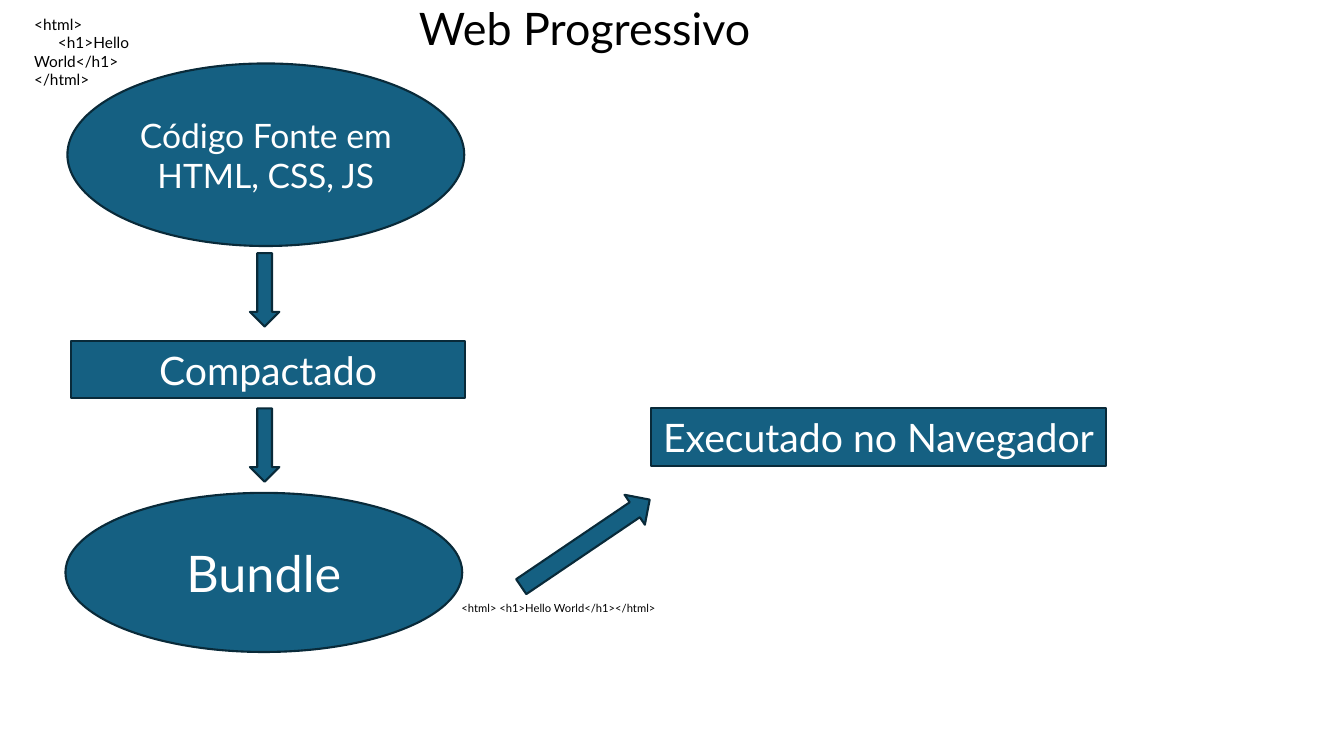
from pptx import Presentation
from pptx.dml.color import RGBColor
from pptx.enum import shapes, text
from pptx import util as u

TEAL = RGBColor(0x15, 0x60, 0x82)
DARK_TEAL = RGBColor(0x09, 0x2A, 0x39)
WHITE = RGBColor(0xFF, 0xFF, 0xFF)
BLACK = RGBColor(0, 0, 0)
FONT = "Lato"
KIND = shapes.MSO_SHAPE


def add_words(paragraph, words, size, color):
    run = paragraph.add_run()
    run.text = words
    run.font.name = FONT
    run.font.size = u.Pt(size)
    run.font.color.rgb = color


def add_step(slide, kind, box, words="", size=28, rotation=0):
    step = slide.shapes.add_shape(kind, *map(u.Cm, box))
    step.shadow.inherit = False
    step.rotation = rotation
    step.fill.solid()
    step.fill.fore_color.rgb = TEAL
    step.line.color.rgb = DARK_TEAL
    step.line.width = u.Pt(1.5)
    if words:
        frame = step.text_frame
        frame.word_wrap = True
        frame.vertical_anchor = text.MSO_ANCHOR.MIDDLE
        paragraph = frame.paragraphs[0]
        paragraph.alignment = text.PP_ALIGN.CENTER
        add_words(paragraph, words, size, WHITE)


def add_note(slide, box, lines, size, wrap=True):
    frame = slide.shapes.add_textbox(*map(u.Cm, box)).text_frame
    frame.word_wrap = wrap
    frame.auto_size = text.MSO_AUTO_SIZE.SHAPE_TO_FIT_TEXT
    for index, (words, indent) in enumerate(lines):
        paragraph = frame.add_paragraph() if index else frame.paragraphs[0]
        if indent:
            properties = paragraph._p.get_or_add_pPr()
            properties.set("marL", "0")
            properties.set("indent", str(u.Cm(indent)))
        add_words(paragraph, words, size, BLACK)


def add_build_column(slide, left, top):
    add_step(slide, KIND.OVAL, (left + 0.05, top, 10, 4.6),
             "Código Fonte em HTML, CSS, JS", 24)
    add_step(slide, KIND.RECTANGLE, (left + 0.15, top + 6.99, 9.91, 1.45),
             "Compactado")
    add_step(slide, KIND.OVAL, (left, top + 10.82, 10, 4.01), "Bundle", 36)
    for arrow_offset in (4.78, 8.69):
        add_step(slide, KIND.DOWN_ARROW,
                 (left + 4.65, top + arrow_offset, 0.74, 1.85))


def add_browser_branch(slide, left, top):
    add_note(slide, (left, top + 4.75, 6.78, 0.61),
             [("<html> <h1>Hello World</h1></html>", 0)], 8)
    add_step(slide, KIND.DOWN_ARROW, (left + 2.92, top + 1.44, 0.91, 3.91),
             rotation=235.9)
    add_step(slide, KIND.RECTANGLE, (left + 5.03, top, 11.46, 1.45),
             "Executado no Navegador")


def add_heading(slide, left, top):
    add_note(slide, (left, top + 0.35, 4.95, 1.68),
             [("<html>", 0), ("<h1>Hello World</h1>", 0.6), ("</html>", 0)], 11)
    add_note(slide, (left + 9.7, top, 8.89, 1.63),
             [("Web Progressivo", 0)], 32, wrap=False)


def main():
    deck = Presentation()
    deck.slide_width = u.Cm(33.87)
    deck.slide_height = u.Cm(19.05)
    slide = deck.slides.add_slide(deck.slide_layouts[6])
    add_build_column(slide, 1.65, 1.6)
    add_browser_branch(slide, 11.38, 10.29)
    add_heading(slide, 0.61, -0.1)
    deck.save("out.pptx")


if __name__ == "__main__":
    main()
